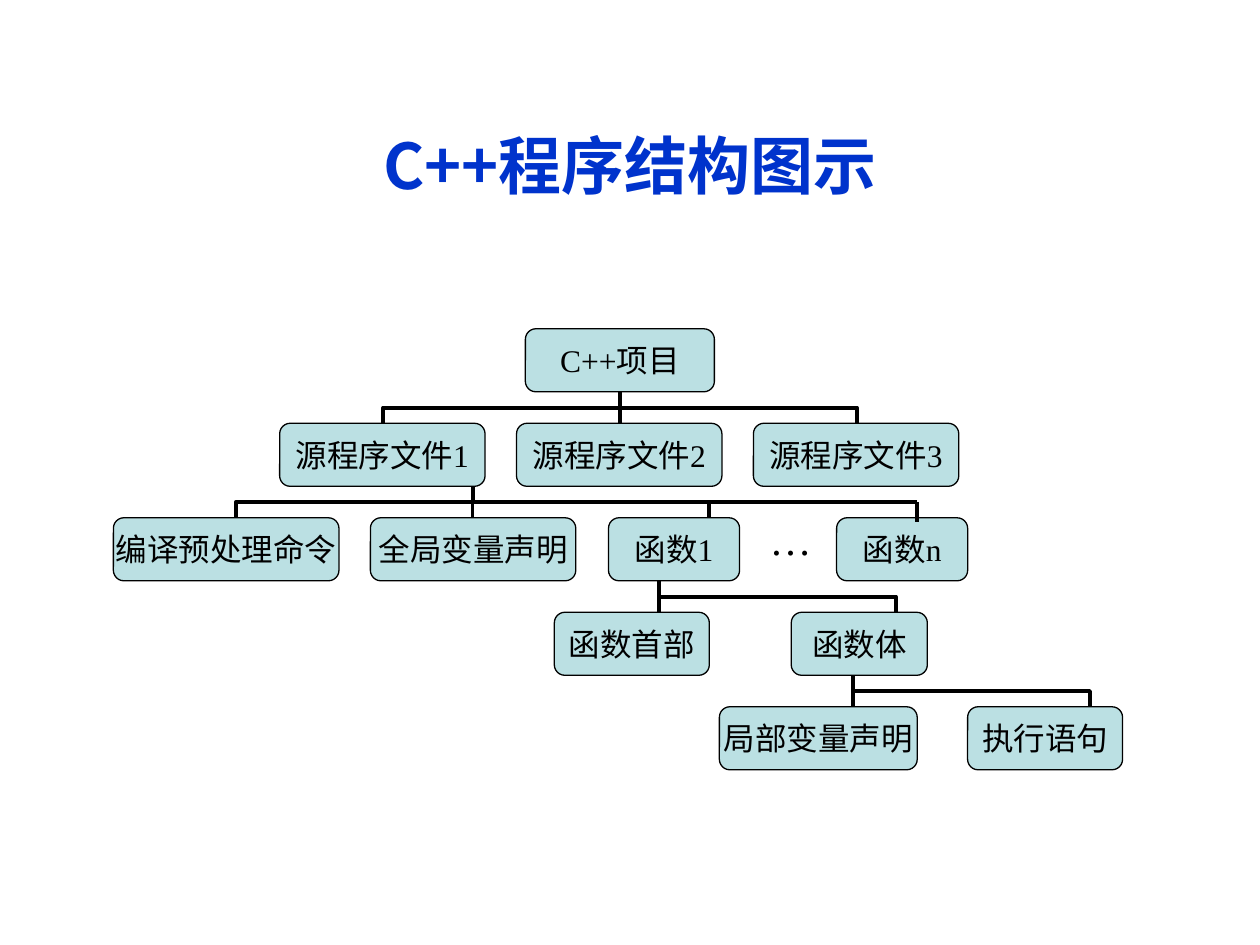
from lxml.etree import SubElement
from pptx import Presentation
from pptx.dml.color import RGBColor
from pptx.enum.shapes import MSO_CONNECTOR as Link, MSO_SHAPE as Shape
from pptx.enum.text import MSO_ANCHOR as Anchor, PP_ALIGN as Align
from pptx.oxml.ns import qn
from pptx.util import Inches, Pt

COLORS = {"title": "0033CC", "ink": "000000", "node": "BBE0E3"}
LATIN, CJK = "Times New Roman", "Noto Sans CJK SC"

# Grid in inches: one row per tree level, one column per sibling
TOP, ROW, NODE_H = 2.61, 0.75, 0.5
GAP = ROW - NODE_H
COLUMN = 1.88

# Per level: (left, width, label)
LEVELS = [
    [(4.17, 1.5, "C++项目")],
    [(2.22 + COLUMN * i, 1.63, f"源程序文件{i + 1}") for i in range(3)],
    [(0.9, 1.79, "编译预处理命令"), (2.94, 1.63, "全局变量声明"),
     (4.83, 1.04, "函数1"), (6.64, 1.04, "函数n")],
    [(4.4, 1.23, "函数首部"), (6.28, 1.08, "函数体")],
    [(5.71, 1.57, "局部变量声明"), (7.68, 1.23, "执行语句")],
]
# Below each level: (trunk x, column offsets of the children)
BRANCHES = [(4.92, (-1, 0, 1)), (3.75, (-1, 0, 1)), (5.23, (0, 1)), (6.77, (0, 1))]


def color(name):
    return RGBColor.from_string(COLORS[name])


def level_top(level):
    return TOP + ROW * level


def write(frame, text, size, font=LATIN, ink="ink", bold=False, align=Align.CENTER):
    paragraph = frame.paragraphs[0]
    paragraph.alignment = align
    run = paragraph.add_run()
    run.text = text
    run.font.size, run.font.name, run.font.bold = Pt(size), font, bold
    run.font.color.rgb = color(ink)
    SubElement(run.font._element, qn("a:ea"), typeface=CJK)
    return paragraph


def add_label(slide, left, top, width, height):
    label = slide.shapes.add_textbox(*map(Inches, (left, top, width, height)))
    label.text_frame.word_wrap = True
    return label.text_frame


def add_node(slide, level, left, width, label):
    node = slide.shapes.add_shape(
        Shape.ROUNDED_RECTANGLE,
        *map(Inches, (left, level_top(level), width, NODE_H)))
    node.shadow.inherit = False
    node.fill.solid()
    node.fill.fore_color.rgb = color("node")
    node.line.color.rgb = color("ink")
    node.line.width = Pt(0.75)
    frame = node.text_frame
    frame.word_wrap = False
    frame.vertical_anchor = Anchor.MIDDLE
    write(frame, label, 18)


def add_link(slide, kind, x1, y1, x2, y2):
    link = slide.shapes.add_connector(kind, *map(Inches, (x1, y1, x2, y2)))
    link.line.color.rgb = color("ink")
    link.line.width = Pt(2.25)
    SubElement(link._element.spPr, qn("a:effectLst"))
    return link


def add_elbow(slide, child_x, trunk_x, trunk_y):
    """Bend from a child up to its trunk: laid out sideways, then rotated upright."""
    side = 1 if child_x > trunk_x else -1
    half_span = abs(child_x - trunk_x) / 2
    mid_x, mid_y = (child_x + trunk_x) / 2, trunk_y + GAP / 2
    elbow = add_link(slide, Link.ELBOW,
                     mid_x - side * GAP / 2, mid_y + half_span,
                     mid_x + side * GAP / 2, mid_y - half_span)
    degrees = 270 if side > 0 else 90
    elbow._element.spPr.find(qn("a:xfrm")).set("rot", str(degrees * 60000))


def add_branch(slide, level, trunk_x, offsets):
    trunk_y = level_top(level) + NODE_H
    for offset in offsets:
        if offset:
            add_elbow(slide, trunk_x + offset * COLUMN, trunk_x, trunk_y)
        else:
            add_link(slide, Link.STRAIGHT, trunk_x, trunk_y + GAP, trunk_x, trunk_y)


def add_last_function_link(slide):
    """Extend the function row's bar to the n-th function."""
    bar_y, end_x = level_top(2) - GAP / 2, 7.28
    add_link(slide, Link.STRAIGHT, 5.63, bar_y, end_x, bar_y)
    add_link(slide, Link.STRAIGHT, end_x, bar_y, end_x, level_top(2) + 0.03)


def main():
    deck = Presentation()
    deck.slide_width, deck.slide_height = Inches(10), Inches(7.5)
    slide = deck.slides.add_slide(deck.slide_layouts[6])

    title = add_label(slide, 0.5, 0.68, 9, 1.25)
    title.vertical_anchor = Anchor.MIDDLE
    write(title, "C++程序结构图示", 36, CJK, "title", bold=True)

    for level, nodes in enumerate(LEVELS):
        for node in nodes:
            add_node(slide, level, *node)
    for level, branch in enumerate(BRANCHES):
        add_branch(slide, level, *branch)
    add_last_function_link(slide)

    ellipsis = add_label(slide, 6.01, 4.03, 0.47, 0.5)
    write(ellipsis, "…", 24, align=Align.LEFT).space_before = Pt(15)

    deck.save("out.pptx")


if __name__ == "__main__":
    main()
